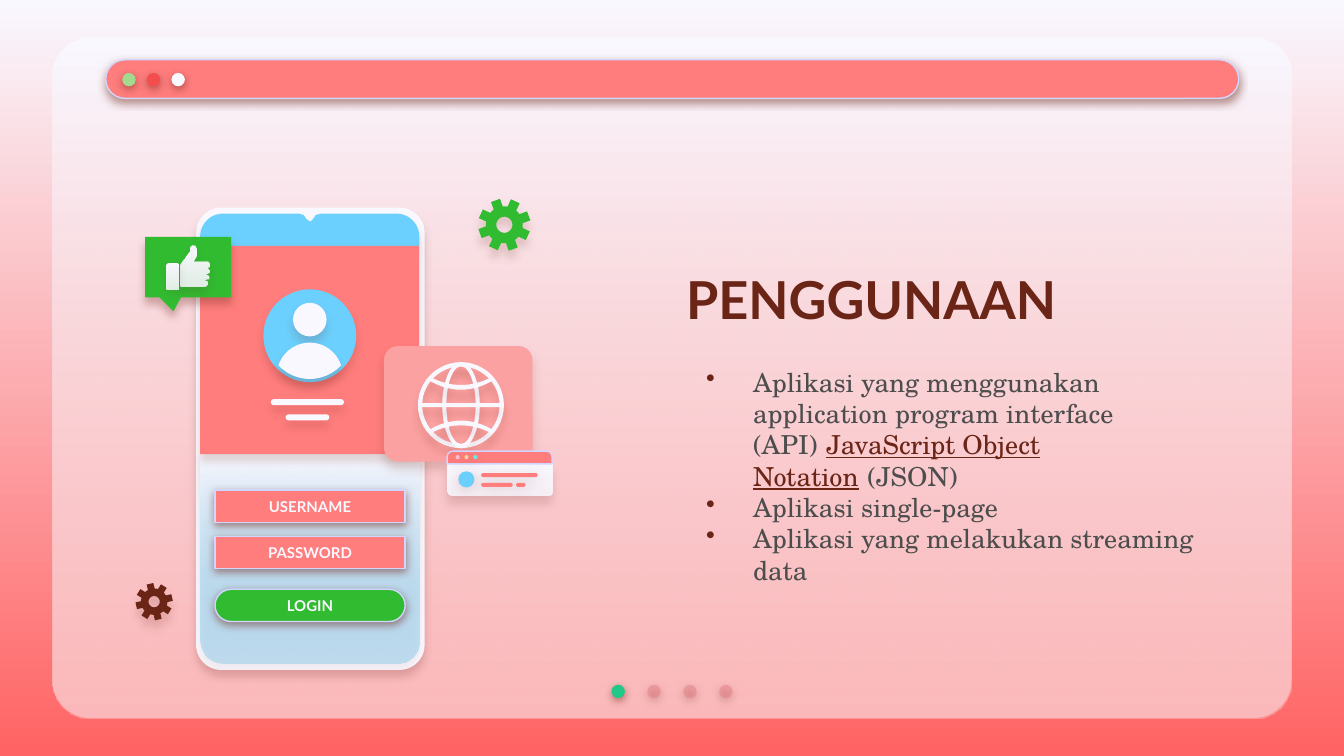
from dataclasses import dataclass
from math import cos, radians, sin

from lxml.etree import SubElement
from pptx import Presentation
from pptx.dml.color import RGBColor
from pptx.enum.shapes import MSO_SHAPE as Preset
from pptx.enum.text import MSO_ANCHOR as Anchor, MSO_AUTO_SIZE as AutoSize, PP_ALIGN as Align
from pptx.oxml.ns import qn
from pptx.util import Inches, Pt


@dataclass(frozen=True)
class Theme:
    white: str = "F9F8FF"
    coral: str = "FF7D7D"
    backdrop: str = "FF6363"
    pink: str = "FCA1A1"
    rose: str = "E27B83"
    sky: str = "6BD0FD"
    haze: str = "66BEE9"
    green: str = "31BB31"
    mint: str = "23C787"
    brown: str = "6B2517"
    gray: str = "4D4D4D"
    border: str = "D2D6FF"
    window_dots: tuple = ("A3DA8D", "F34D4D", "F9F8FF")
    tab_dots: tuple = ("FFC3D0", "F5D79B", "6AEBE7")
    heading_font: str = "Lato"
    body_font: str = "TeX Gyre Schola"
    title_size: int = 28
    body_size: int = 14
    field_size: int = 8
    strong: tuple = (50, 4.5, 1.5)
    soft: tuple = (16, 4.5, 3.8)
    deep: tuple = (16, 4.5, 4.5)
    near: tuple = (18, 6.8, 1.5)


theme = Theme()
deck = Presentation()
deck.slide_width, deck.slide_height = Inches(10), Inches(5.625)
page = deck.slides.add_slide(deck.slide_layouts[5])
cell = deck.slide_width / 100


def draw(preset, place, fill, shadow=None, adjust=(), line=False, alpha=100):
    if preset:
        shape = page.shapes.add_shape(preset, *(round(value * cell) for value in place))
    else:
        contours = [[(round(x * cell), round(y * cell)) for x, y in ring] for ring in place]
        builder = page.shapes.build_freeform(*contours[0][0])
        for ring in contours:
            builder.move_to(*ring[0])
            builder.add_line_segments(ring[1:], close=True)
        shape = builder.convert_to_shape()
    for index, value in enumerate(adjust):
        shape.adjustments[index] = value
    if isinstance(fill, tuple):
        shape.fill.gradient()
        shape.fill.gradient_angle = 270
        for stop, color in zip(shape.fill.gradient_stops, fill):
            stop.color.rgb = RGBColor.from_string(color)
    else:
        shape.fill.solid()
        shape.fill.fore_color.rgb = RGBColor.from_string(fill)
    if alpha < 100:
        last_color = shape.element.spPr.findall(".//" + qn("a:srgbClr"))[-1]
        SubElement(last_color, qn("a:alpha"), val=str(alpha * 1000))
    if line:
        shape.line.color.rgb = RGBColor.from_string(theme.border)
        shape.line.width = Pt(0.75)
    else:
        shape.line.fill.background()
    shape.shadow.inherit = False
    if shadow:
        opacity, blur, distance = shadow
        effects = shape.element.spPr.find(qn("a:effectLst"))
        outer = SubElement(effects, qn("a:outerShdw"), blurRad=str(Pt(blur)),
                           dist=str(Pt(distance)), dir="5400000", algn="bl", rotWithShape="0")
        color = SubElement(outer, qn("a:srgbClr"), val=theme.brown)
        SubElement(color, qn("a:alpha"), val=str(opacity * 1000))
    return shape


def arc(x, y, radius, start, stop, steps=24):
    angles = [radians(start + (stop - start) * step / steps) for step in range(steps + 1)]
    return [(x + radius * cos(angle), y + radius * sin(angle)) for angle in angles]


backdrop = page.background.fill
backdrop.gradient()
backdrop.gradient_angle = 270
for stop, color in zip(backdrop.gradient_stops, (theme.white, theme.backdrop)):
    stop.color.rgb = RGBColor.from_string(color)

panel = (3.9, 2.83, 92.2, 50.6)
draw(Preset.ROUNDED_RECTANGLE, panel, theme.white, adjust=[0.056])
draw(Preset.ROUNDED_RECTANGLE, panel, (theme.white, theme.pink), adjust=[0.056], alpha=72)
for index in range(4):
    draw(Preset.OVAL, (45.5 + 2.67 * index, 50.95, 1, 1), theme.rose if index else theme.mint,
         theme.strong, alpha=44 if index else 100)
draw(Preset.ROUNDED_RECTANGLE, (7.87, 4.45, 84.3, 2.87), theme.coral, theme.strong, [0.5], True)
for index, color in enumerate(theme.window_dots):
    draw(Preset.OVAL, (9.1 + 1.83 * index, 5.43, 1, 1), color, theme.strong)

title = page.shapes.title
title.left, title.top, title.width, title.height = (
    round(value * cell) for value in (50.05, 18.3, 35.4, 7.9))
title.element.getparent().append(title.element)
title.text_frame.text = "PENGGUNAAN"
body = page.shapes.add_textbox(*(round(value * cell) for value in (50.05, 28.8, 41.4, 15.4)))
for box in (title, body):
    frame = box.text_frame
    frame.word_wrap = True
    frame.auto_size = AutoSize.NONE
    frame.vertical_anchor = Anchor.MIDDLE
    frame.margin_left = frame.margin_right = frame.margin_top = frame.margin_bottom = Inches(0.1)
body.text_frame.margin_bottom = Inches(0.32)
para = title.text_frame.paragraphs[0]
para.alignment = Align.LEFT
para.font.name, para.font.size, para.font.bold = theme.heading_font, Pt(theme.title_size), True
para.font.color.rgb = RGBColor.from_string(theme.brown)

hard_space = chr(160)
term = "JavaScript Object Notation"
uses = [["Aplikasi yang menggunakan application program interface (API)" + hard_space,
         term, hard_space + "(JSON)"],
        ["Aplikasi single-page"],
        ["Aplikasi yang melakukan streaming data"]]
for index, pieces in enumerate(uses):
    frame = body.text_frame
    para = frame.add_paragraph() if index else frame.paragraphs[0]
    layout = para._p.get_or_add_pPr()
    layout.set("marL", str(Inches(0.5)))
    layout.set("indent", str(Inches(-0.35)))
    SubElement(SubElement(layout, qn("a:buClr")), qn("a:srgbClr"), val=theme.brown)
    SubElement(layout, qn("a:buChar"), char="•")
    para.font.name, para.font.size = theme.body_font, Pt(theme.body_size)
    for piece in pieces:
        span = para.add_run()
        span.text = piece
        span.font.underline = True if piece == term else None
        span.font.color.rgb = RGBColor.from_string(theme.brown if piece == term else theme.gray)

draw(Preset.ROUNDED_RECTANGLE, (14.6, 15.45, 17, 34.4), theme.white, theme.soft, [0.11])
draw(Preset.ROUND_2_SAME_RECTANGLE, (14.9, 33.8, 16.3, 15.6), (theme.white, theme.haze),
     theme.soft, [0, 0.11], alpha=35)
notch = [(22.3, 15.9), (22.6, 16), (22.8, 16.3), (23.1, 16.5), (23.3, 16.3), (23.5, 16), (23.9, 15.9)]
status_bar = [(14.9, 18.3), *arc(16.6, 17.6, 1.7, 180, 270), *notch,
              *arc(29.5, 17.6, 1.7, 270, 360), (31.2, 18.3)]
draw(None, [status_bar], theme.sky, theme.soft)
draw(Preset.RECTANGLE, (14.9, 18.3, 16.3, 15.5), theme.coral, theme.soft)
draw(Preset.OVAL, (19.6, 21.53, 6.9, 6.9), theme.sky, theme.soft)
draw(Preset.OVAL, (21.8, 22.53, 2.5, 2.5), theme.white, theme.soft)
shoulders = arc(23.05, 27.95, 2.45, 198, 342) + arc(23.05, 25, 3.2, 43, 137)
draw(None, [shoulders], theme.white, theme.soft)
for left, top, width in ((20.15, 29.7, 5.45), (21.25, 30.83, 3.25)):
    draw(Preset.ROUNDED_RECTANGLE, (left, top, width, 0.45), theme.white, theme.soft, [0.5])

fields = [("USERNAME", 36.47, theme.coral, 0), ("PASSWORD", 39.9, theme.coral, 0),
          ("LOGIN", 43.85, theme.green, 0.5)]
for label, top, color, corner in fields:
    field = draw(Preset.ROUNDED_RECTANGLE, (16, top, 14.15, 2.4), color, theme.strong, [corner], True)
    field.text_frame.text = label
    field.text_frame.vertical_anchor = Anchor.MIDDLE
    para = field.text_frame.paragraphs[0]
    para.alignment = Align.CENTER
    para.font.name, para.font.size, para.font.bold = theme.heading_font, Pt(theme.field_size), True
    para.font.color.rgb = RGBColor.from_string(theme.white)

draw(Preset.ROUNDED_RECTANGULAR_CALLOUT, (10.8, 17.63, 6.4, 4.5), theme.green,
     (31, 4.5, 3.8), [-0.17, 0.73, 0])
thumb = [(14.3, 18.25), (14.1, 18.4), (14.1, 18.7), (13.5, 19.5), (13.4, 19.7), (13.4, 21.2),
         (13.5, 21.3), (15.2, 21.3), (15.4, 21.1), (15.4, 20.9), (15.2, 20.8), (15.5, 20.7),
         (15.5, 20.5), (15.3, 20.4), (15.5, 20.3), (15.6, 20.1), (15.4, 19.9), (15.6, 19.8),
         (15.6, 19.6), (15.4, 19.4), (14.4, 19.4), (14.6, 19), (14.6, 18.5), (14.5, 18.3)]
draw(None, [thumb], (theme.white, theme.white), theme.soft, alpha=87)
draw(Preset.ROUNDED_RECTANGLE, (12.4, 19.6, 0.85, 1.95), (theme.white, theme.white),
     (16, 4.5, 1.5), [0.12], alpha=87)

draw(Preset.ROUNDED_RECTANGLE, (28.57, 25.75, 11.05, 8.6), theme.pink, (18, 5.6, 3.8), [0.12])
draw(Preset.DONUT, (31.1, 26.95, 6.4, 6.4), theme.white, theme.deep, [0.05])
draw(Preset.DONUT, (32.9, 26.95, 2.8, 6.4), theme.white, theme.deep, [0.11])
draw(Preset.RECTANGLE, (31.3, 30, 6.1, 0.3), theme.white, theme.deep)
steps = [step / 8 for step in range(-8, 9)]
for side in (-1, 1):
    inner = [(34.3 + 2.4 * step, 30.15 + side * (1.15 + 0.7 * step ** 2)) for step in steps]
    outer = [(34.3 + 2.2 * step, 30.15 + side * (1.5 + 0.55 * step ** 2)) for step in steps]
    draw(None, [inner + outer[::-1]], theme.white, theme.deep)

draw(Preset.ROUND_2_SAME_RECTANGLE, (33.27, 34.5, 7.8, 2.35), (theme.white, theme.white),
     theme.deep, [0, 0.17], alpha=87)
draw(Preset.ROUND_2_SAME_RECTANGLE, (33.27, 33.57, 7.8, 0.95), theme.coral, adjust=[0.42, 0], line=True)
for index, color in enumerate(theme.tab_dots):
    draw(Preset.OVAL, (33.9 + 0.66 * index, 33.87, 0.3, 0.3), color, (17, 4.5, 2.2))
draw(Preset.OVAL, (34.1, 35.07, 1.2, 1.2), theme.sky, theme.near)
for left, top, width in ((35.8, 35.2, 4.2), (35.8, 35.93, 2.35), (38.4, 35.93, 0.7)):
    draw(Preset.ROUNDED_RECTANGLE, (left, top, width, 0.3), theme.coral, theme.near, [0.5])

gears = [(37.53, 16.73, 1.96, 1.37, 0.6, -110, theme.green),
         (11.47, 44.77, 1.39, 0.98, 0.42, -103, theme.brown)]
for x, y, tip, root, hole, tilt, color in gears:
    teeth = []
    for middle in range(tilt, tilt + 360, 45):
        teeth += arc(x, y, root, middle - 22.5, middle - 15, 2)
        teeth += arc(x, y, tip, middle - 10.5, middle + 10.5, 1)
        teeth += arc(x, y, root, middle + 15, middle + 22.5, 2)
    draw(None, [teeth, arc(x, y, hole, 360, 0)], color, theme.deep)

deck.save("out.pptx")
